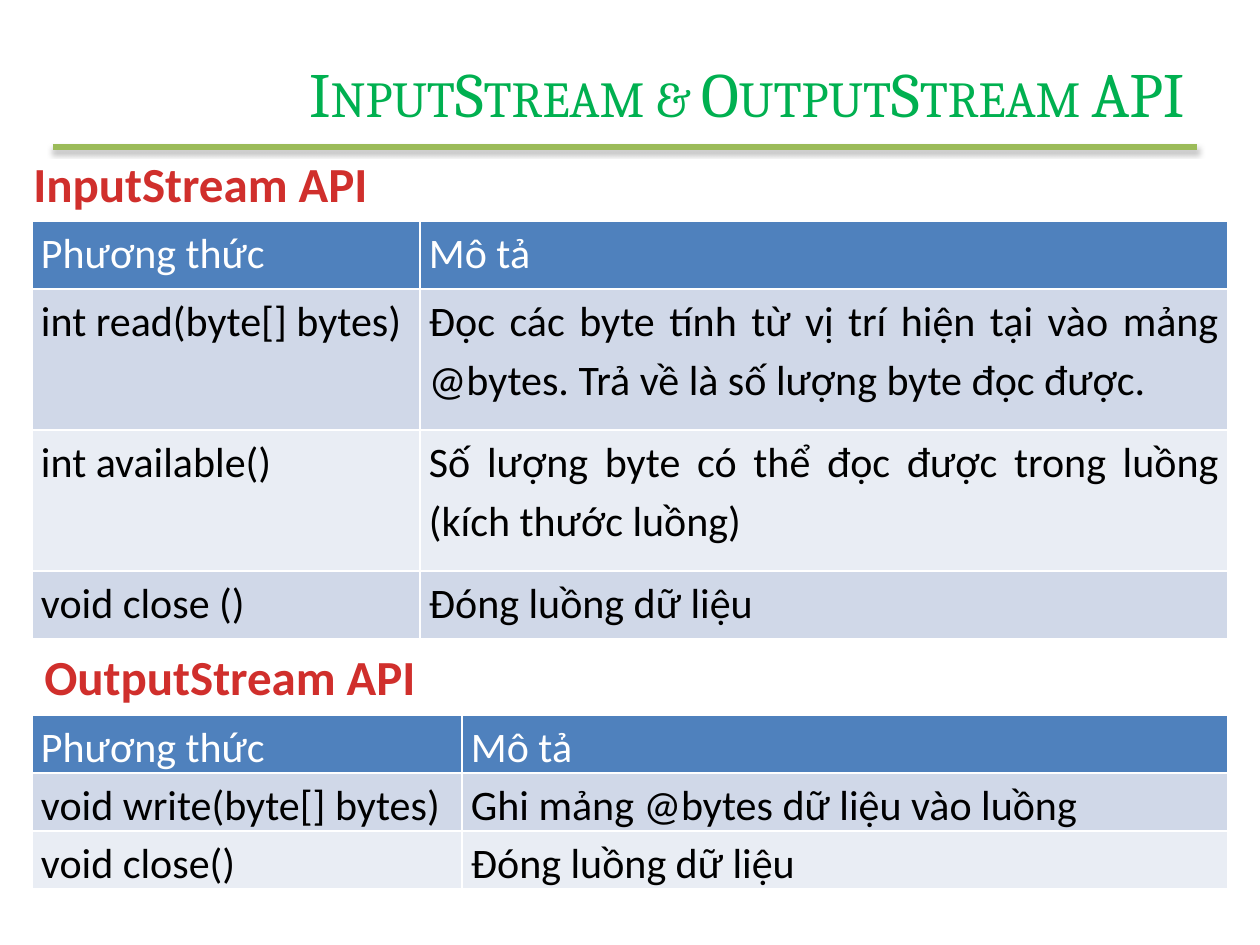
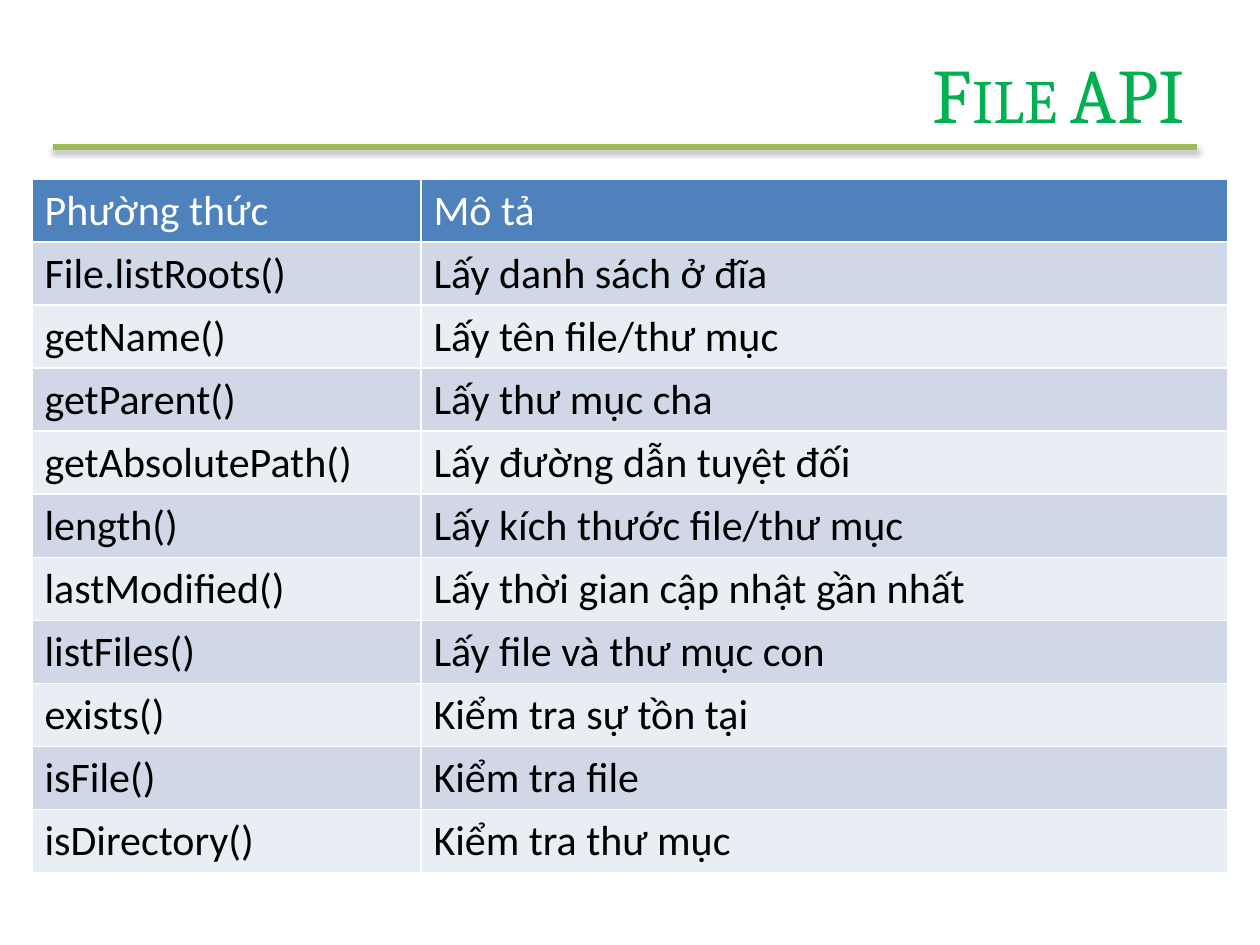
from lxml import etree
from pptx import Presentation, util as u
from pptx.dml.color import RGBColor
from pptx.enum import shapes, text
from pptx.oxml import parse_xml
from pptx.oxml.ns import nsdecls, qn

GREEN = RGBColor(0x00, 0xB0, 0x50)
OLIVE = RGBColor(0x9B, 0xBB, 0x59)
RED = RGBColor(0xD0, 0x2F, 0x2C)
BLUE = RGBColor(0x4F, 0x81, 0xBD)
BANDS = [RGBColor(0xE9, 0xED, 0xF4), RGBColor(0xD0, 0xD8, 0xE8)]
WHITE = RGBColor(0xFF, 0xFF, 0xFF)
BLACK = RGBColor(0x00, 0x00, 0x00)
PX = 914400 / 126
LEFT, WIDTH = 32, 1196

SHADOW = f"""<a:effectLst {nsdecls('a')}>
  <a:outerShdw blurRad="39370" dist="22860" dir="5400000" rotWithShape="0">
    <a:srgbClr val="000000"><a:alpha val="35000"/></a:srgbClr>
  </a:outerShdw>
</a:effectLst>"""


def px(*values):
    return [u.Emu(round(v * PX)) for v in values]


def write(tf, words, size=24, font="Calibri", color=BLACK, bold=False,
          align=text.PP_ALIGN.LEFT, spacing=None, small_caps=False):
    p = tf.paragraphs[0]
    p.alignment = align
    if spacing:
        p.line_spacing = spacing
    r = p.add_run()
    r.text = words
    r.font.size, r.font.name, r.font.bold = u.Pt(size), font, bold
    r.font.color.rgb = color
    if small_caps:
        r.font._element.set("cap", "small")


# Slide content: headings are (text, left, top, width),
# tables are (top, first column, row heights, dense, rows)
slides = [
    ("InputStream & OutputStream API", 36,
     [("InputStream API", 21, 147, 364), ("OutputStream API", 32, 640, 401)],
     [(221, 388, [68, 141, 141, 68], True, [
         ("Phương thức", "Mô tả"),
         ("int read(byte[] bytes) ",
          "Đọc các byte tính từ vị trí hiện tại vào mảng @bytes. "
          "Trả về là số lượng byte đọc được."),
         ("int available() ",
          "Số lượng byte có thể đọc được trong luồng (kích thước luồng)"),
         ("void close () ", "Đóng luồng dữ liệu")]),
      (715, 430, [58] * 3, True, [
          ("Phương thức", "Mô tả"),
          ("void write(byte[] bytes)", "Ghi mảng @bytes dữ liệu vào luồng"),
          ("void close()", "Đóng luồng dữ liệu")])]),
    ("File API", 44, [],
     [(179, 389, [63] * 11, False, [
         ("Phường thức", "Mô tả"),
         ("File.listRoots()", "Lấy danh sách ở đĩa"),
         ("getName()", "Lấy tên file/thư mục"),
         ("getParent()", "Lấy thư mục cha"),
         ("getAbsolutePath()", "Lấy đường dẫn tuyệt đối"),
         ("length()", "Lấy kích thước file/thư mục"),
         ("lastModified()", "Lấy thời gian cập nhật gần nhất"),
         ("listFiles()", "Lấy file và thư mục con"),
         ("exists()", "Kiểm tra sự tồn tại"),
         ("isFile()", "Kiểm tra file"),
         ("isDirectory()", "Kiểm tra thư mục")])]),
]

prs = Presentation()
prs.slide_width, prs.slide_height = px(1260, 945)

for title, title_size, headings, tables in slides:
    s = prs.slides.add_slide(prs.slide_layouts[6])

    # Rule under the title
    rule = s.shapes.add_connector(shapes.MSO_CONNECTOR.STRAIGHT, *px(53, 147, 1197, 147))
    rule.line.color.rgb, rule.line.width = OLIVE, u.Pt(3)
    rule._element.spPr.append(parse_xml(SHADOW))

    # Title
    tf = s.shapes.add_textbox(*px(183, 38, 1014, 109)).text_frame
    tf.word_wrap = True
    tf.vertical_anchor = text.MSO_ANCHOR.MIDDLE
    write(tf, title, size=title_size, font="Cambria", color=GREEN,
          align=text.PP_ALIGN.RIGHT, small_caps=True)

    # Tables
    for top, first_col, heights, dense, rows in tables:
        tbl = s.shapes.add_table(len(rows), 2, *px(LEFT, top, WIDTH, sum(heights))).table
        tbl.columns[0].width, tbl.columns[1].width = px(first_col, WIDTH - first_col)
        for i, row in enumerate(rows):
            tbl.rows[i].height = px(heights[i])[0]
            for j, words in enumerate(row):
                cell = tbl.cell(i, j)
                if dense:
                    cell.margin_left = cell.margin_right = px(9)[0]
                    cell.margin_top = cell.margin_bottom = 0
                write(cell.text_frame, words, color=BLACK if i else WHITE,
                      align=text.PP_ALIGN.JUSTIFY if dense else text.PP_ALIGN.LEFT,
                      spacing=1.15 if dense else None)
                # White borders come before the fill in the cell properties
                tcPr = cell._tc.get_or_add_tcPr()
                for side in ("lnL", "lnR", "lnT", "lnB"):
                    ln = etree.SubElement(tcPr, qn(f"a:{side}"), w="12700")
                    fill = etree.SubElement(ln, qn("a:solidFill"))
                    etree.SubElement(fill, qn("a:srgbClr"), val=str(WHITE))
                cell.fill.solid()
                cell.fill.fore_color.rgb = BANDS[i % 2] if i else BLUE

    # Table headings
    for words, left, top, width in headings:
        tf = s.shapes.add_textbox(*px(left, top, width, 72)).text_frame
        tf.word_wrap = True
        write(tf, words, size=28, color=RED, bold=True)

prs.save("out.pptx")
